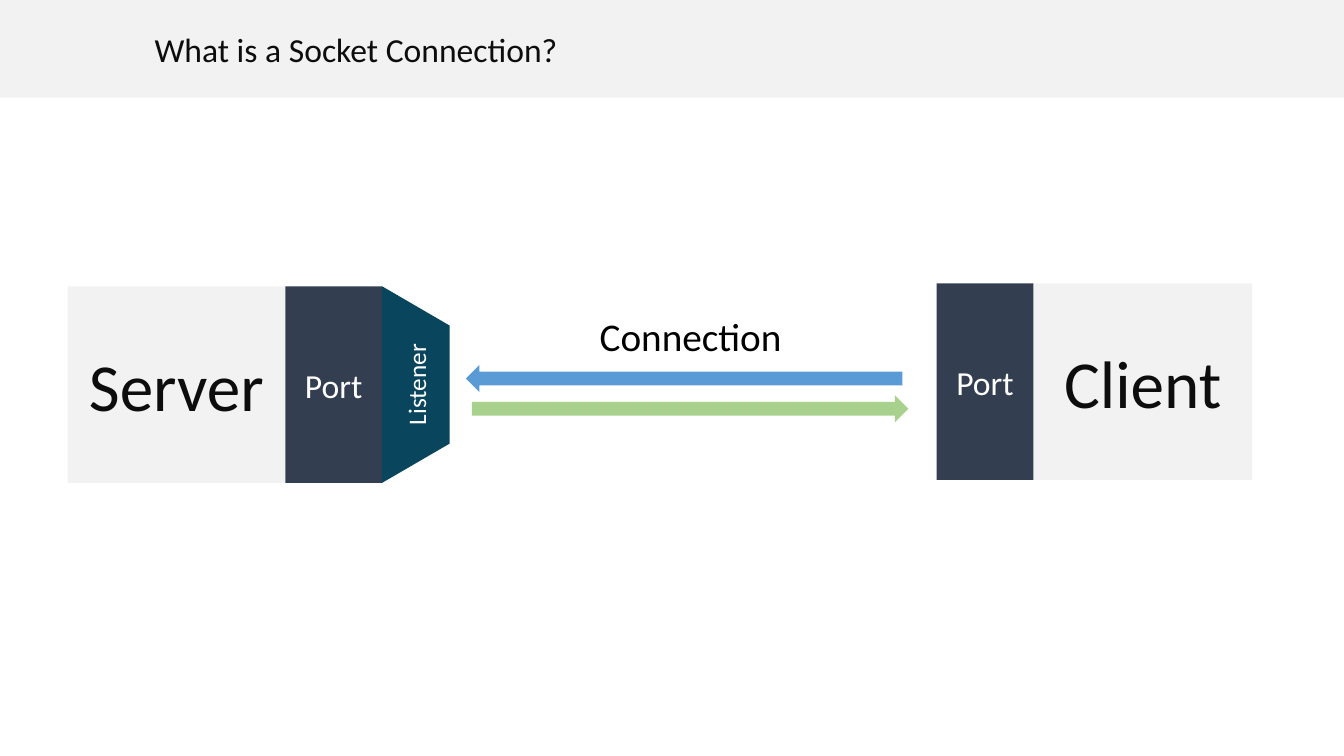
"""Builds a slide showing a server and a client joined by a socket connection."""
import pptx
import pptx.dml.color
import pptx.enum.shapes
import pptx.enum.text
import pptx.util

COLORS = {
    "panel": "F2F2F2", "port": "333F50", "listener": "09455D",
    "to_server": "5B9BD5", "to_client": "A9D18E",
    "ink": "0D0D0D", "black": "000000", "white": "FFFFFF",
}
SHAPES = pptx.enum.shapes.MSO_SHAPE
ALIGN = pptx.enum.text.PP_ALIGN

deck = pptx.Presentation()
deck.slide_width = pptx.util.Inches(13.33)
deck.slide_height = pptx.util.Inches(7.5)
slide = deck.slides.add_slide(deck.slide_layouts[5])


def area(left, top, width, height):
    """Turn percentages of the slide into lengths."""
    return [int(share * size / 100) for share, size in (
        (left, deck.slide_width), (top, deck.slide_height),
        (width, deck.slide_width), (height, deck.slide_height))]


def write(shape, text, size, color, align=ALIGN.CENTER):
    """Set one formatted line of text in a shape."""
    frame = shape.text_frame
    frame.text = text
    frame.word_wrap = True
    paragraph = frame.paragraphs[0]
    paragraph.alignment = align
    font = paragraph.runs[0].font
    font.name = "Calibri"
    font.size = pptx.util.Pt(size)
    font.color.rgb = pptx.dml.color.RGBColor.from_string(COLORS[color])


heading = slide.shapes.title
heading.left, heading.top, heading.width, heading.height = area(0, 0, 100, 12.93)
heading.fill.solid()
heading.fill.fore_color.rgb = pptx.dml.color.RGBColor.from_string(COLORS["panel"])
write(heading, "What is a Socket Connection?", 24, "ink", ALIGN.LEFT)
heading.text_frame.auto_size = pptx.enum.text.MSO_AUTO_SIZE.NONE
heading.text_frame.vertical_anchor = pptx.enum.text.MSO_ANCHOR.MIDDLE
heading.text_frame.margin_left = int(deck.slide_width * 0.115)

server_left, server_width, port_width = 5.03, 16.2, 7.2
server_port_left = server_left + server_width
listener_left = server_port_left + port_width
client_port_left = 69.69
server_top, client_top, block_height = 37.87, 37.47, 26

x, y, depth, span = area(listener_left, server_top, 5.03, block_height)
listener_area = [x + (depth - span) // 2, y + (span - depth) // 2, span, depth]

parts = [
    (SHAPES.RECTANGLE, area(server_left, server_top, server_width, block_height),
     "panel", 0, "Server", 48, "ink"),
    (SHAPES.RECTANGLE, area(server_port_left, server_top, port_width, block_height),
     "port", 0, "Port", 24, "white"),
    (SHAPES.RECTANGLE, area(client_port_left + port_width, client_top, 16.28, block_height),
     "panel", 0, "Client", 48, "ink"),
    (SHAPES.RECTANGLE, area(client_port_left, client_top, port_width, block_height),
     "port", 0, "Port", 24, "white"),
    (SHAPES.RIGHT_ARROW, area(34.66, 48.27, 32.48, 3.6), "to_server", 180, "", 0, ""),
    (SHAPES.FLOWCHART_MANUAL_OPERATION, listener_area,
     "listener", 270, "Listener", 18, "white"),
    (SHAPES.RIGHT_ARROW, area(35.11, 52.27, 32.48, 3.6), "to_client", 0, "", 0, ""),
]
for outline, place, fill, rotation, label, size, ink in parts:
    part = slide.shapes.add_shape(outline, *place)
    part.rotation = rotation
    part.shadow.inherit = False
    part.fill.solid()
    part.fill.fore_color.rgb = pptx.dml.color.RGBColor.from_string(COLORS[fill])
    part.line.fill.background()
    if label:
        write(part, label, size, ink)

connection = slide.shapes.add_textbox(*area(38.33, 40.67, 26.1, 7.6))
write(connection, "Connection", 28, "black")

deck.save("out.pptx")
